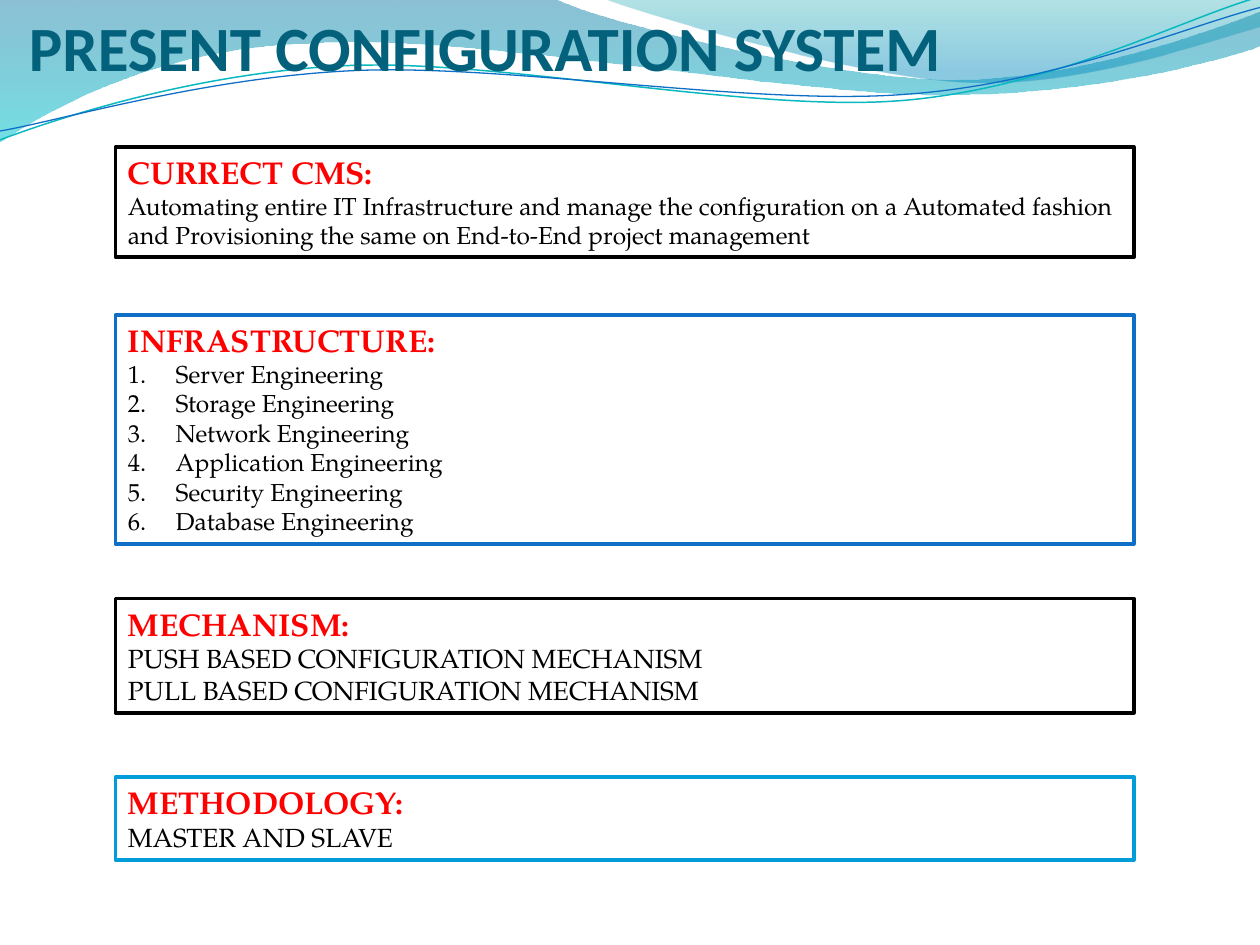
import math

from lxml import etree
from pptx import Presentation
from pptx import util as u
from pptx.dml.color import RGBColor
from pptx.enum import shapes, text
from pptx.oxml.ns import qn


def rgb(value):
    return RGBColor.from_string(value)


def turn(point, pivot, degrees):
    """Turn a point clockwise about a pivot."""
    a = math.radians(degrees)
    x, y = point[0] - pivot[0], point[1] - pivot[1]
    return (pivot[0] + x * math.cos(a) - y * math.sin(a),
            pivot[1] + x * math.sin(a) + y * math.cos(a))


class Deck:
    """Style and current slide; the grid has 120 columns and 90 rows."""
    COLS, ROWS = 120, 90
    HEAD_FONT, BODY_FONT = "Calibri", "TeX Gyre Pagella"
    TITLE, HEADING, BODY, PAPER = "04617B", "FF0000", "000000", "FFFFFF"
    TILT = 2.7

    def __init__(self):
        self.prs = Presentation()
        self.prs.slide_width, self.prs.slide_height = u.Inches(10), u.Inches(7.5)
        self.s = self.prs.slides.add_slide(self.prs.slide_layouts[6])

    def place(self, col, row, cols, rows):
        dx = self.prs.slide_width / self.COLS
        dy = self.prs.slide_height / self.ROWS
        return [round(v) for v in (col * dx, row * dy, cols * dx, rows * dy)]

    def run(self, p, words, font, size, color, bold=False):
        r = p.add_run()
        r.text = words
        r.font.name, r.font.size, r.font.bold = font, u.Pt(size), bold
        r.font.color.rgb = rgb(color)

    def outline(self, segments, close):
        """Segments in inches: one point is a line, three points a cubic curve."""
        emu = [(u.Inches(x), u.Inches(y)) for seg in segments for x, y in seg]
        builder = self.s.shapes.build_freeform(*emu[0], scale=1.0)
        builder.add_line_segments(emu[1:], close=close)
        sp = builder.convert_to_shape()
        sp.shadow.inherit = False
        lines = iter(list(sp._element.iter(qn("a:lnTo"))))
        for seg in segments[1:]:
            first, *rest = [next(lines) for _ in seg]
            if rest:
                bend = etree.Element(qn("a:cubicBezTo"))
                first.addprevious(bend)
                for line in (first, *rest):
                    bend.append(line[0])
                    line.getparent().remove(line)
        return sp

    def band(self, segments, stops):
        """Closed wave; stops are (position, colour, opacity %)."""
        sp = self.outline(segments, True)
        sp.fill.gradient()
        sp.fill.gradient_angle = 270
        for stop, (position, color, _) in zip(sp.fill.gradient_stops, stops):
            stop.position = position
            stop.color.rgb = rgb(color)
        for clr, (_, _, opacity) in zip(sp._element.spPr.iter(qn("a:srgbClr")), stops):
            etree.SubElement(clr, qn("a:alpha"), val=str(opacity * 1000))
        sp.line.fill.background()

    def wave_line(self, segments, pivot, color, width):
        """Open wave, stored level and tilted by the shape's rotation."""
        level = [[turn(pt, pivot, self.TILT) for pt in seg] for seg in segments]
        sp = self.outline(level, False)
        sp.rotation = 360 - self.TILT
        sp.fill.background()
        sp.line.color.rgb, sp.line.width = rgb(color), u.Pt(width)

    def title(self, words, *cells):
        tf = self.s.shapes.add_textbox(*self.place(*cells)).text_frame
        tf.word_wrap = True
        tf.vertical_anchor = text.MSO_ANCHOR.BOTTOM
        tf.margin_left, tf.margin_top = u.Inches(0.23), u.Inches(0.05)
        tf.margin_right = tf.margin_bottom = 0
        self.run(tf.paragraphs[0], words, self.HEAD_FONT, 36, self.TITLE, True)

    def panel(self, heading, lines, row, rows, color, size, numbered=False):
        sp = self.s.shapes.add_shape(shapes.MSO_SHAPE.RECTANGLE,
                                     *self.place(11, row, 97, rows))
        sp.shadow.inherit = False
        sp.fill.solid()
        sp.fill.fore_color.rgb = rgb(self.PAPER)
        sp.line.color.rgb, sp.line.width = rgb(color), u.Pt(2)
        tf = sp.text_frame
        tf.word_wrap = True
        tf.auto_size = text.MSO_AUTO_SIZE.SHAPE_TO_FIT_TEXT
        tf.vertical_anchor = text.MSO_ANCHOR.TOP
        p = tf.paragraphs[0]
        p.alignment = text.PP_ALIGN.LEFT
        self.run(p, heading, self.BODY_FONT, 18, self.HEADING, True)
        for line in lines:
            p = tf.add_paragraph()
            p.alignment = text.PP_ALIGN.LEFT
            if numbered:
                self.number(p)
            self.run(p, line, self.BODY_FONT, size, self.BODY)

    def number(self, p):
        pPr = p._p.get_or_add_pPr()
        indent = u.Inches(0.38)
        pPr.set("marL", str(indent))
        pPr.set("indent", str(-indent))
        etree.SubElement(pPr, qn("a:buFont"), typeface="+mj-lt")
        etree.SubElement(pPr, qn("a:buAutoNum"), type="arabicPeriod")


def main():
    deck = Deck()

    # Wave bands across the top
    deck.band([[(0, 0)], [(4.4, -0.01)],
               [(4.76, 0.17), (6.64, 0.63), (7.58, 0.63)],
               [(8.53, 0.63), (9.58, 0.26), (10, 0.09)],
               [(10.01, 0.36)],
               [(9.83, 0.44), (8.7, 0.76), (7.46, 0.75)],
               [(6.22, 0.75), (3.82, 0.28), (2.57, 0.34)],
               [(1.29, 0.36), (0.46, 0.83), (-0.01, 1.13)],
               [(0, 0)]],
              [(0, "0074A1", 45), (1, "00C6CF", 55)])
    deck.band([[(4.79, -0.01)],
               [(5.09, 0.11), (6.82, 0.62), (7.69, 0.65)],
               [(8.56, 0.69), (9.61, 0.32), (10, 0.21)],
               [(10, 0)], [(4.79, -0.01)]],
              [(0, "00A1A9", 30), (0.8, "008BBF", 45)])

    # Thin wave lines
    deck.wave_line([[(0, 1.11)],
                    [(0.48, 0.93), (1.58, 0.57), (2.77, 0.52)],
                    [(3.95, 0.47), (5.93, 0.89), (7.13, 0.8)],
                    [(8.33, 0.71), (9.38, 0.15), (9.98, -0.02)]],
                   (4.99, 0.58), "0AB8BF", 0.85)
    deck.wave_line([[(0, 1.04)],
                    [(0.47, 0.96), (1.64, 0.61), (2.83, 0.56)],
                    [(4.03, 0.51), (5.97, 0.84), (7.17, 0.75)],
                    [(8.36, 0.67), (9.41, 0.21), (10, 0.06)]],
                   (5, 0.59), "0F6FC6", 0.75)

    # Title
    deck.title("PRESENT CONFIGURATION SYSTEM", 0, 0, 109, 8)

    # Panels, top to bottom
    deck.panel("CURRECT CMS:",
               ["Automating entire IT Infrastructure and manage the configuration on a "
                "Automated fashion and Provisioning the same on End-to-End project management"],
               14, 10.5, "000000", 14)
    fields = ["Server", "Storage", "Network", "Application", "Security", "Database"]
    deck.panel("INFRASTRUCTURE:", [f"{field} Engineering" for field in fields],
               30, 21.8, "0F6FC6", 14, numbered=True)
    deck.panel("MECHANISM:",
               [f"{way} BASED CONFIGURATION MECHANISM" for way in ("PUSH", "PULL")],
               57, 10.9, "000000", 15)
    deck.panel("METHODOLOGY:", ["MASTER AND SLAVE"], 74, 7.9, "009DD9", 15)

    deck.prs.save("out.pptx")


if __name__ == "__main__":
    main()
